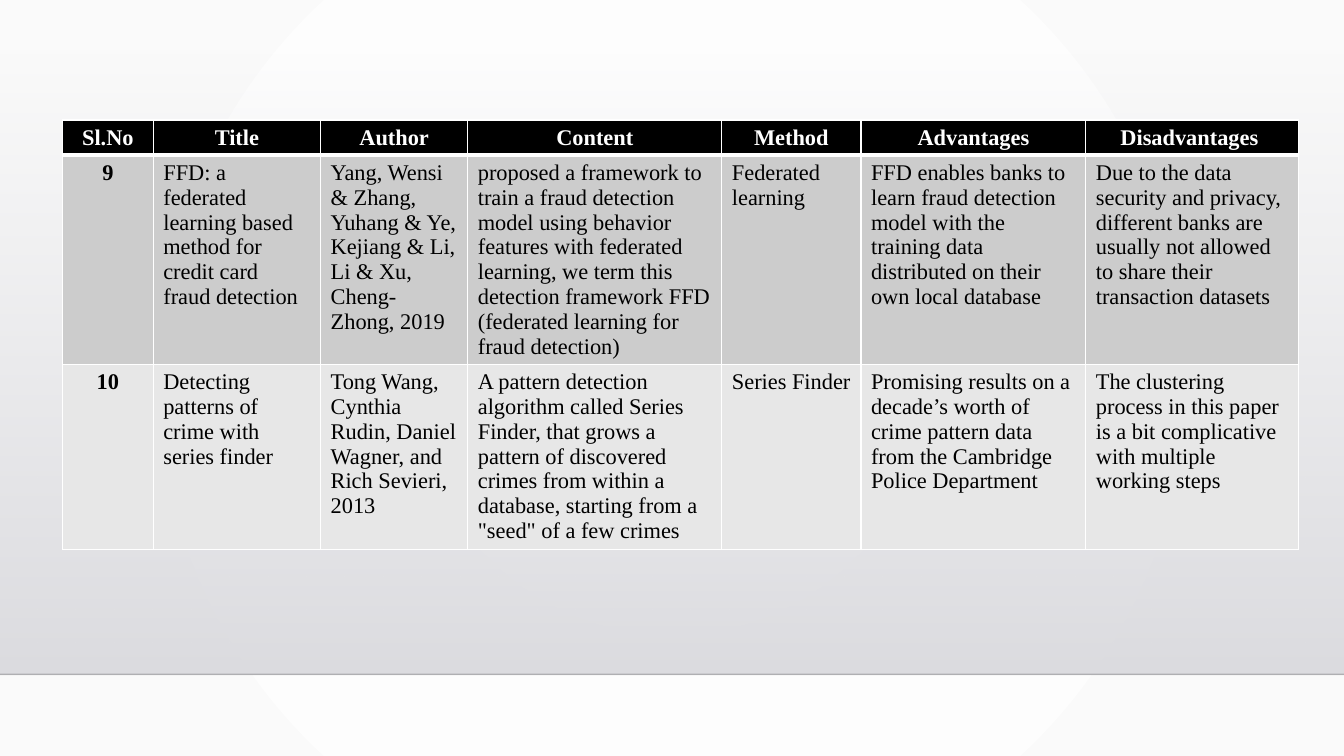
from dataclasses import dataclass

from lxml.etree import SubElement
from pptx import Presentation
from pptx.dml.color import RGBColor as Rgb
from pptx.enum.shapes import MSO_CONNECTOR as Connector, MSO_SHAPE as Shape
from pptx.enum.text import PP_ALIGN as Align
from pptx.oxml.ns import qn
from pptx.util import Inches, Pt


@dataclass(frozen=True)
class Theme:
    font: str = "Times New Roman"
    size: int = 16
    black: str = "000000"
    white: str = "FFFFFF"
    backdrop_edge: str = "FAFAFA"
    panel_top: str = "DCDCE0"
    panel_bottom: str = "DEDEE2"
    rule: str = "000001"
    dark_row: str = "CCCCCC"
    light_row: str = "E7E7E7"


@dataclass(frozen=True)
class Column:
    title: str
    width: float


@dataclass(frozen=True)
class Row:
    texts: tuple[str, ...]
    height: float
    fill: str
    color: str = Theme.black
    header: bool = False


THEME = Theme()
WIDTH, HEIGHT = 13.33, 7.5
PANEL_TOP, PANEL_BOTTOM = 0.51, 6.69
COLUMNS = (
    Column("Sl.No", 0.9),
    Column("Title", 1.66),
    Column("Author", 1.46),
    Column("Content", 2.52),
    Column("Method", 1.38),
    Column("Advantages", 2.23),
    Column("Disadvantages ", 2.11),
)
ROWS = (
    Row(tuple(column.title for column in COLUMNS), 0.35, THEME.black, THEME.white, True),
    Row((
        "9",
        "FFD: a federated learning based method for credit card fraud detection",
        "Yang, Wensi & Zhang, Yuhang & Ye, Kejiang & Li, Li & Xu, Cheng-Zhong, 2019",
        "proposed a framework to train a fraud detection model using behavior features "
        "with federated learning, we term this detection framework FFD "
        "(federated learning for fraud detection)",
        "Federated learning",
        "FFD enables banks to learn fraud detection model with the training data "
        "distributed on their own local database",
        "Due to the data security and privacy, different banks are usually not allowed "
        "to share their transaction datasets",
    ), 2.07, THEME.dark_row),
    Row((
        "10",
        "Detecting patterns of crime with series finder",
        "Tong Wang, Cynthia Rudin, Daniel Wagner, and Rich Sevieri, 2013",
        "A pattern detection algorithm called Series Finder, that grows a pattern of "
        "discovered crimes from within a database, starting from a \"seed\" of a few crimes",
        "Series Finder",
        "Promising results on a decade’s worth of crime pattern data from the "
        "Cambridge Police Department",
        "The clustering process in this paper is a bit complicative with multiple working steps",
    ), 1.84, THEME.light_row),
)


def set_alpha(color_element, percent: int) -> None:
    SubElement(color_element, qn("a:alpha"), val=str(percent * 1000))


def fill_gradient(fill, colors: tuple[str, str]) -> None:
    fill.gradient()
    for stop, color in zip(fill.gradient_stops, colors):
        stop.color.rgb = Rgb.from_string(color)


def paint_backdrop(page) -> None:
    fill_gradient(page.background.fill, (THEME.white, THEME.backdrop_edge))
    gradient = next(page.element.iter(qn("a:gradFill")))
    gradient.remove(gradient.find(qn("a:lin")))
    circle = SubElement(gradient, qn("a:path"), {"path": "circle"})
    SubElement(circle, qn("a:fillToRect"), dict.fromkeys("ltrb", "50000"))


def draw_panel(page) -> None:
    panel = page.shapes.add_shape(
        Shape.RECTANGLE, 0, Inches(PANEL_TOP), Inches(WIDTH), Inches(PANEL_BOTTOM - PANEL_TOP)
    )
    panel.shadow.inherit = False
    panel.line.fill.background()
    fill_gradient(panel.fill, (THEME.panel_top, THEME.panel_bottom))
    panel.fill.gradient_angle = 270
    set_alpha(next(panel.element.iter(qn("a:srgbClr"))), 0)


def draw_rule(page) -> None:
    rule = page.shapes.add_connector(
        Connector.STRAIGHT, 0, Inches(PANEL_BOTTOM), Inches(WIDTH), Inches(PANEL_BOTTOM)
    )
    rule.line.width = Pt(1)
    rule.line.color.rgb = Rgb.from_string(THEME.rule)
    set_alpha(next(rule.element.iter(qn("a:srgbClr"))), 20)
    SubElement(rule.element.spPr, qn("a:effectLst"))


def draw_borders(cell, header: bool) -> None:
    properties = cell._tc.get_or_add_tcPr()
    for side in "LRTB":
        width = Pt(3 if header and side == "B" else 1)
        border = SubElement(properties, qn(f"a:ln{side}"), w=str(width))
        SubElement(SubElement(border, qn("a:solidFill")), qn("a:srgbClr"), val=THEME.white)


def fill_cell(cell, text: str, row: Row, leading: bool) -> None:
    draw_borders(cell, row.header)
    cell.fill.solid()
    cell.fill.fore_color.rgb = Rgb.from_string(row.fill)
    strong = row.header or leading
    para = cell.text_frame.paragraphs[0]
    para.alignment = Align.CENTER if strong else Align.LEFT
    span = para.add_run()
    span.text = text
    formats = {"name": THEME.font, "size": Pt(THEME.size), "bold": strong}
    for name, value in formats.items():
        setattr(span.font, name, value)
    span.font.color.rgb = Rgb.from_string(row.color)


def draw_table(page, left: float, top: float) -> None:
    width = sum(column.width for column in COLUMNS)
    height = sum(row.height for row in ROWS)
    table = page.shapes.add_table(
        len(ROWS), len(COLUMNS), Inches(left), Inches(top), Inches(width), Inches(height)
    ).table
    table.horz_banding = False
    for index, column in enumerate(COLUMNS):
        table.columns[index].width = Inches(column.width)
    for down, row in enumerate(ROWS):
        table.rows[down].height = Inches(row.height)
        for across, text in enumerate(row.texts):
            fill_cell(table.cell(down, across), text, row, across == 0)


def main() -> None:
    deck = Presentation()
    deck.slide_width, deck.slide_height = Inches(WIDTH), Inches(HEIGHT)
    page = deck.slides.add_slide(deck.slide_layouts[6])
    paint_backdrop(page)
    draw_panel(page)
    draw_rule(page)
    draw_table(page, 0.62, 1.19)
    deck.save("out.pptx")


if __name__ == "__main__":
    main()
